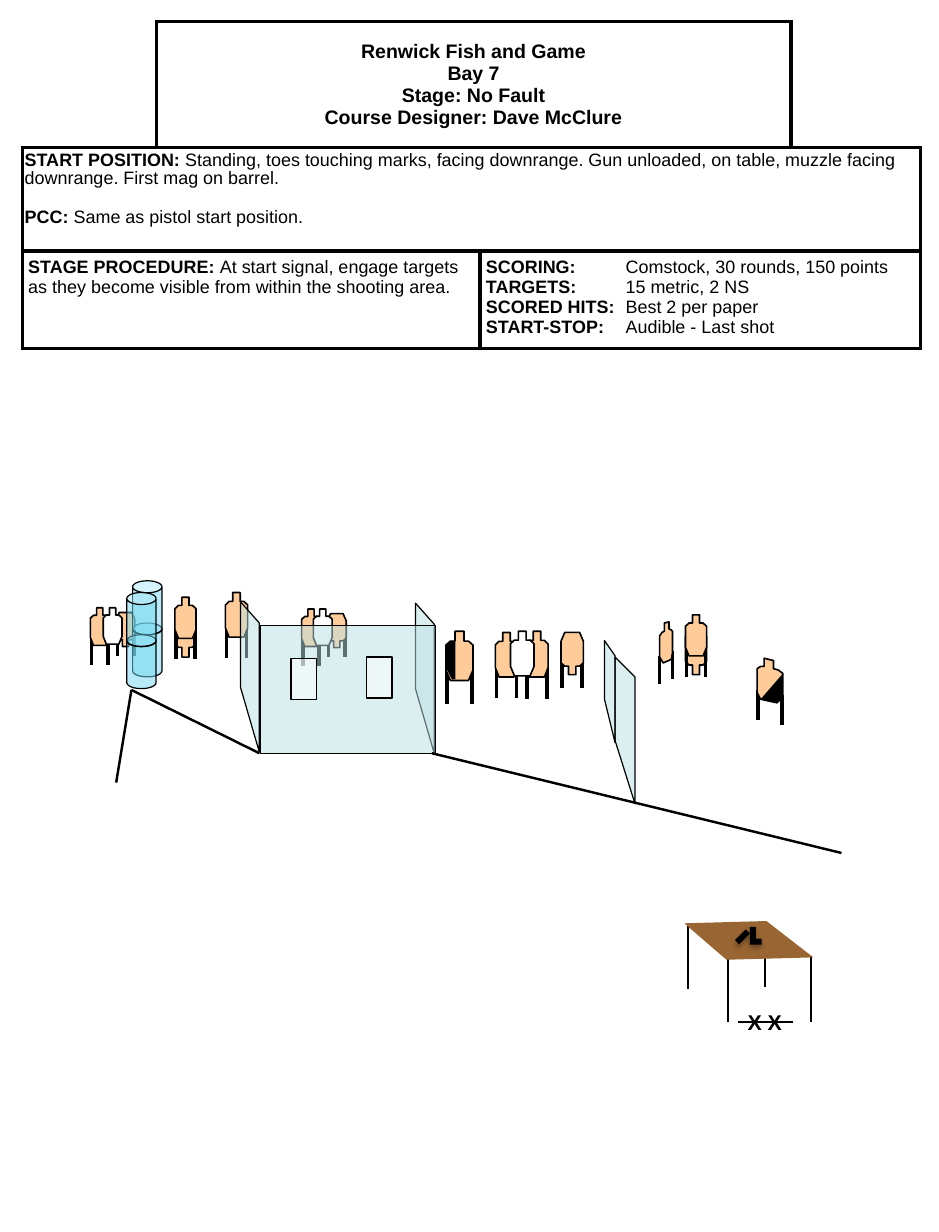
from copy import deepcopy
from dataclasses import dataclass

from pptx import Presentation
from pptx.dml.color import RGBColor as Rgb
from pptx.enum.shapes import MSO_CONNECTOR as Conn, MSO_SHAPE as Geo
from pptx.enum.text import MSO_ANCHOR as Anchor, PP_ALIGN as Align
from pptx.oxml import parse_xml
from pptx.oxml.ns import qn
from pptx.util import Inches, Pt

NS = 'xmlns:a="http://schemas.openxmlformats.org/drawingml/2006/main"'


@dataclass(frozen=True)
class Theme:
    font: str = "Arial"
    ink: str = "000000"
    paper: str = "FFFFFF"
    skin: str = "FFCC99"
    wood: str = "996633"
    glass: str = "BBE0E3"
    drum: str = "73D9F1"
    head: float = 12
    body: float = 11
    mark: float = 13.1
    thin: float = 0.75
    edge: float = 1
    rail: float = 1.5
    bold: float = 2.25


T = Theme()


@dataclass(frozen=True)
class Target:
    x: float
    y: float
    w: float
    h: float
    legs: tuple = ()  # top and foot of both legs
    fill: str = T.skin
    flip: bool = False


@dataclass(frozen=True)
class Skew:
    """A turned target: its outline and its legs as (x, top, foot)."""
    dots: tuple
    legs: tuple


@dataclass(frozen=True)
class Box:
    x: float
    y: float
    w: float
    h: float
    fill: str
    kind: Geo = Geo.RECTANGLE
    alpha: int = 50
    line: float = T.thin


SHADE = [  # fractions of a target's width and height
    (1/3, 0), (2/3, 0), (2/3, .2), (5/6, .2), (1, .28), (1, .79), (5/6, 1),
    (1/6, 1), (0, .79), (0, .28), (1/6, .2), (1/3, .2)]

TARGETS = [
    Target(3.8, 5.38, .23, .42, (5.69, 6)),
    Target(4.48, 5.38, .19, .39, (5.67, 5.96)),
    Target(4.22, 5.39, .19, .38, (5.66, 5.95)),
    Target(1.92, 5.05, .19, .38, (5.33, 5.61)),
    Target(.99, 5.22, .16, .29, (5.37, 5.59), flip=True),
    Target(5.84, 5.34, .18, .41, flip=True),
    Target(5.84, 5.24, .18, .35, (5.5, 5.77)),
    Target(.77, 5.18, .16, .32, (5.42, 5.67)),
    Target(.88, 5.18, .16, .31, fill=T.paper),
    Target(1.49, 5.19, .18, .41, flip=True),
    Target(1.49, 5.09, .18, .35, (5.35, 5.62)),
    Target(4.78, 5.39, .19, .36, (5.58, 5.86), flip=True),
    Target(4.35, 5.38, .2, .38, fill=T.paper),
    Target(2.79, 5.23, .16, .29, (5.38, 5.6), flip=True),
    Target(2.57, 5.19, .16, .32, (5.43, 5.68)),
    Target(2.67, 5.19, .16, .31, fill=T.paper)]

SKEWS = [
    Skew(((6.59, 5.63), (6.51, 5.61), (6.51, 5.68), (6.48, 5.68), (6.45, 5.7),
          (6.45, 5.9), (6.48, 5.96), (6.62, 5.99), (6.67, 5.94), (6.67, 5.74),
          (6.63, 5.71), (6.59, 5.7)),
         ((6.66, 5.92, 6.18), (6.46, 5.88, 6.14))),
    Skew(((5.66, 5.31), (5.7, 5.3), (5.7, 5.36), (5.72, 5.37), (5.73, 5.38),
          (5.73, 5.56), (5.72, 5.62), (5.65, 5.65), (5.62, 5.6), (5.62, 5.42),
          (5.64, 5.39), (5.66, 5.38)),
         ((5.62, 5.59, 5.83), (5.73, 5.55, 5.79)))]

BLACKS = [  # hard cover on two targets
    ((3.88, 5.47), (3.88, 5.79), (3.85, 5.79), (3.81, 5.71), (3.81, 5.49),
     (3.85, 5.46)),
    ((6.48, 5.96), (6.62, 5.99), (6.67, 5.93), (6.67, 5.74))]

WALLS = [
    ((3.54, 5.87), (3.7, 6.42), (3.7, 5.32), (3.54, 5.14)),
    ((2.05, 5.86), (2.21, 6.41), (2.21, 5.31), (2.05, 5.13)),
    ((5.24, 6.31), (5.41, 6.85), (5.41, 5.77), (5.24, 5.6)),
    ((5.15, 5.96), (5.24, 6.33), (5.24, 5.59), (5.15, 5.46))]

DRUMS = [Box(x, y, .25, .46, T.drum, Geo.CAN)
         for x, y in [(1.13, 5.31), (1.13, 4.95), (1.08, 5.41), (1.08, 5.05)]]
PANEL = [Box(2.22, 5.33, 1.49, 1.09, T.glass),
         Box(2.48, 5.61, .22, .35, T.paper), Box(3.12, 5.6, .22, .35, T.paper)]
GUN = [Box(6.39, 7.9, .1, .15, T.ink, Geo.CORNER, 100, 0),
       Box(6.3, 7.92, .05, .13, T.ink, alpha=100, line=0)]

DESK = ((5.83, 7.87), (6.53, 7.85), (6.93, 8.16), (6.19, 8.18))
DESK_LEGS = [(5.86, 7.87, 8.43), (6.52, 7.85, 8.41), (6.91, 8.15, 8.71),
             (6.2, 8.16, 8.71)]
RAILS = [(6.29, 8.71, 6.76, 8.71), (1.12, 5.88, 2.21, 6.42),
         (3.68, 6.42, 7.17, 7.27), (1.12, 5.88, .99, 6.67)]

TITLE = ("Renwick Fish and Game\nBay 7\nStage: No Fault\n"
         "Course Designer: Dave McClure")
START = [("START POSITION:", " Standing, toes touching marks, facing downrange. "
          "Gun unloaded, on table, muzzle facing downrange. First mag on barrel."),
         ("PCC: ", "Same as pistol start position.")]
STEPS = [("STAGE PROCEDURE: ", "At start signal, engage targets as they become "
          "visible from within the shooting area.")]
SCORE = [("SCORING:", "\tComstock, 30 rounds, 150 points"),
         ("TARGETS:", "\t15 metric, 2 NS"),
         ("SCORED HITS:", "\tBest 2 per paper"),
         ("START-STOP:", "\tAudible - Last shot")]


def paint(shape, fill: str, line: float = 0, alpha: int = 100) -> None:
    shape.shadow.inherit = False
    shape.fill.solid()
    shape.fill.fore_color.rgb = Rgb.from_string(fill)
    if alpha < 100:
        tone = shape._element.spPr.find(qn("a:solidFill"))[0]
        tone.append(parse_xml(f'<a:alpha {NS} val="{alpha * 1000}"/>'))
    if line:
        shape.line.color.rgb = Rgb.from_string(T.ink)
        shape.line.width = Pt(line)
    else:
        shape.line.fill.background()


def draw_line(shapes, x1: float, y1: float, x2: float, y2: float, width: float) -> None:
    line = shapes.add_connector(Conn.STRAIGHT, *map(Inches, (x1, y1, x2, y2)))
    line.line.color.rgb = Rgb.from_string(T.ink)
    line.line.width = Pt(width)
    line._element.spPr.append(parse_xml(f"<a:effectLst {NS}/>"))


def draw_poly(shapes, dots, fill: str, line: float = 0, alpha: int = 100) -> None:
    dots = [(Inches(x), Inches(y)) for x, y in dots]
    pen = shapes.build_freeform(*dots[0])
    pen.add_line_segments(dots[1:], close=True)
    paint(pen.convert_to_shape(), fill, line, alpha)


def draw_box(shapes, box: Box):
    shape = shapes.add_shape(box.kind, *map(Inches, (box.x, box.y, box.w, box.h)))
    if box.kind == Geo.CAN:
        shape.adjustments[0] = .41
    paint(shape, box.fill, box.line, box.alpha)
    return shape


def draw_skew(shapes, item: Skew) -> None:
    group = shapes.add_group_shape().shapes
    for x, top, foot in item.legs:
        draw_line(group, x, top, x, foot, T.bold)
    draw_poly(group, item.dots, T.skin, T.edge)


def draw_target(shapes, t: Target) -> None:
    group = shapes.add_group_shape().shapes
    if t.legs:
        for x in (t.x + .01, t.x + t.w - .01):
            draw_line(group, x, t.legs[0], x, t.legs[1], T.bold)
    dots = [(t.x + u * t.w, t.y + (1 - v if t.flip else v) * t.h) for u, v in SHADE]
    draw_poly(group, dots, t.fill, T.edge)


def style(run, size: float, bold: bool) -> None:
    run.font.name, run.font.size, run.font.bold = T.font, Pt(size), bold
    run.font.color.rgb = Rgb.from_string(T.ink)


def write(cell, rows, tab: float = 0, lead: float = 1, gap: float = 0) -> None:
    """Fill a cell with paragraphs of a bold label and plain text."""
    for i, parts in enumerate(rows):
        para = cell.text_frame.paragraphs[0] if i == 0 else cell.text_frame.add_paragraph()
        if tab:
            para._p.get_or_add_pPr().append(parse_xml(
                f'<a:tabLst {NS}><a:tab pos="{Inches(tab)}" algn="l"/></a:tabLst>'))
        para.line_spacing = lead
        if i and gap:
            para.space_before = Pt(gap)
        for part, bold in zip(parts, (True, False)):
            run = para.add_run()
            run.text = part
            style(run, T.body, bold)


def frame(cell, sides: str, pad: tuple) -> None:
    for side in "LRTB":
        ink = (f'<a:solidFill><a:srgbClr val="{T.ink}"/></a:solidFill>'
               if side in sides else "<a:noFill/>")
        cell._tc.get_or_add_tcPr().append(parse_xml(
            f'<a:ln{side} {NS} w="{Pt(T.bold)}">{ink}</a:ln{side}>'))
    cell.fill.solid()
    cell.fill.fore_color.rgb = Rgb.from_string(T.paper)
    cell.margin_left = cell.margin_right = Inches(pad[0])
    cell.margin_top = cell.margin_bottom = Inches(pad[1])


def draw_brief(shapes) -> None:
    grid = shapes.add_table(3, 4, *map(Inches, (.19, .18, 7.65, 2.79))).table
    grid.first_row = grid.horz_banding = False
    for col, w in zip(grid.columns, (1.14, 2.76, 2.65, 1.1)):
        col.width = Inches(w)
    for row, h in zip(grid.rows, (1.08, .88, .83)):
        row.height = Inches(h)
    for r in range(3):
        for c in range(4):
            sides = {(0, 0): "RB", (0, 3): "LB"}.get((r, c), "LRTB")
            frame(grid.cell(r, c), sides, (.02, .04) if r == 1 else (.05, .05))
    for r, c, end in [(0, 1, 2), (1, 0, 3), (2, 0, 1), (2, 2, 3)]:
        grid.cell(r, c).merge(grid.cell(r, end))

    head = grid.cell(0, 1)
    head.vertical_anchor = Anchor.MIDDLE
    para = head.text_frame.paragraphs[0]
    para.text = TITLE
    para.alignment = Align.CENTER
    for run in para.runs:
        style(run, T.head, True)
    for gap in para._p.findall(qn("a:br")):
        gap.append(deepcopy(para.runs[0]._r.rPr))
    write(grid.cell(1, 0), START, lead=.9, gap=13)
    write(grid.cell(2, 0), STEPS)
    write(grid.cell(2, 2), SCORE, tab=1.19)


def draw_desk(shapes) -> None:
    group = shapes.add_group_shape().shapes
    for x, top, foot in DESK_LEGS:
        draw_line(group, x, top, x, foot, T.rail)
    draw_poly(group, DESK, T.wood)
    parts = [draw_box(shapes, box) for box in GUN]
    parts[1].rotation = 45
    for part in parts:
        part._element.spPr.find(qn("a:effectLst")).append(parse_xml(
            f'<a:outerShdw {NS} blurRad="{Pt(3.1)}" dist="{Pt(1.8)}" dir="5400000">'
            f'<a:srgbClr val="{T.ink}"><a:alpha val="35000"/></a:srgbClr></a:outerShdw>'))
    feet = shapes.add_textbox(*map(Inches, (6.27, 8.55, .58, .32))).text_frame
    feet.word_wrap = True
    feet.text = "X X"
    style(feet.paragraphs[0].runs[0], T.mark, True)


def main() -> None:
    deck = Presentation()
    deck.slide_width, deck.slide_height = Inches(8), Inches(10.5)
    shapes = deck.slides.add_slide(deck.slide_layouts[6]).shapes
    draw_brief(shapes)
    draw_desk(shapes)
    for item in TARGETS:
        draw_target(shapes, item)
    for item in SKEWS:
        draw_skew(shapes, item)
    for dots in BLACKS:
        draw_poly(shapes, dots, T.ink)
    for dots in WALLS:
        draw_poly(shapes, dots, T.glass, T.thin, 50)
    for box in DRUMS + PANEL:
        draw_box(shapes, box)
    for rail in RAILS:
        draw_line(shapes, *rail, T.rail)
    deck.save("out.pptx")


if __name__ == "__main__":
    main()
